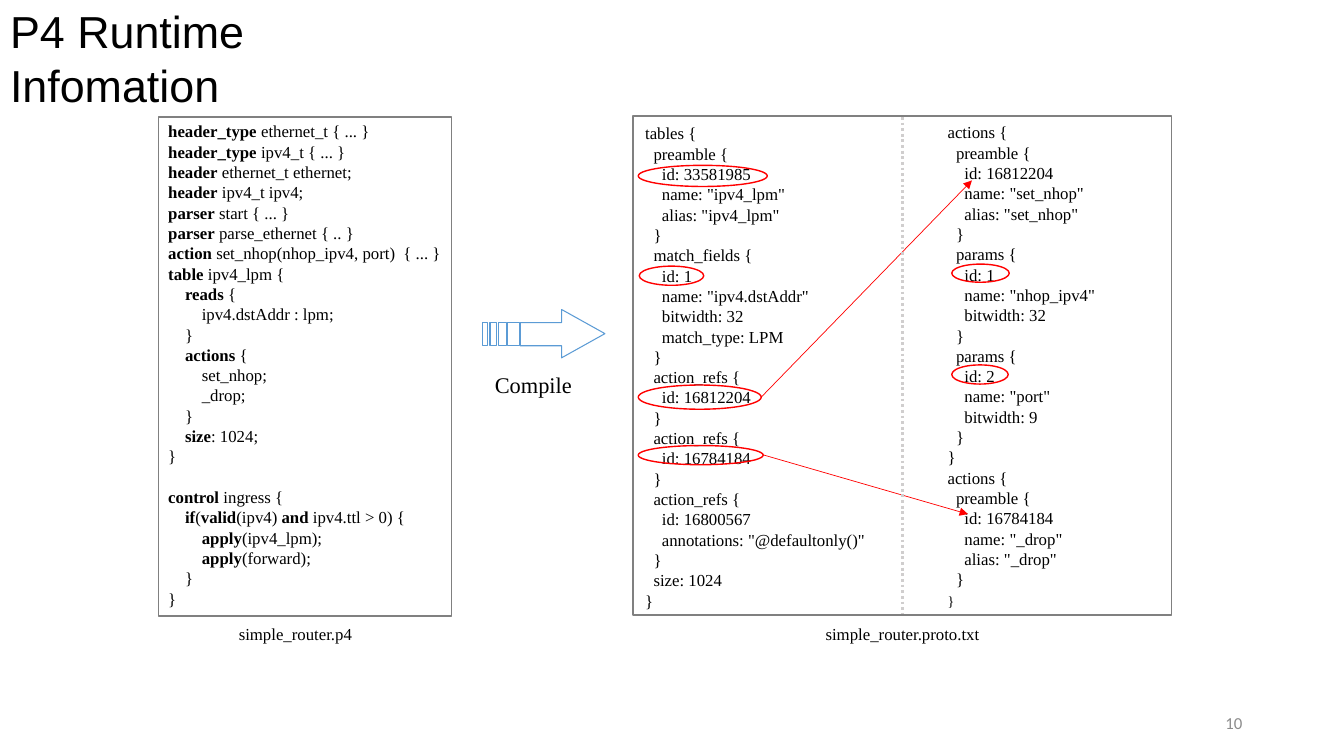
from lxml.etree import SubElement
from pptx import Presentation
from pptx.dml.color import RGBColor
from pptx.enum.dml import MSO_LINE
from pptx.enum.shapes import MSO_CONNECTOR, MSO_SHAPE
from pptx.enum.text import MSO_ANCHOR, MSO_AUTO_SIZE, PP_ALIGN
from pptx.oxml.ns import qn
from pptx.util import Inches, Pt

BLACK = RGBColor(0x00, 0x00, 0x00)
GRAY = RGBColor(0x80, 0x80, 0x80)
LIGHT_GRAY = RGBColor(0xD0, 0xCE, 0xCE)
NUMBER_GRAY = RGBColor(0x8C, 0x8C, 0x8C)
RED = RGBColor(0xFF, 0x00, 0x00)
BLUE = RGBColor(0x5B, 0x9B, 0xD5)
SERIF = "Times New Roman"
LINE_PITCH = 14.5
SPACE_WIDTH = 3

ROUTER_CODE = """\
**header_type** ethernet_t { ... }
**header_type** ipv4_t { ... }
**header** ethernet_t ethernet;
**header** ipv4_t ipv4;
**parser** start { ... }
**parser** parse_ethernet { .. }
**action** set_nhop(nhop_ipv4, port)  { ... }
**table** ipv4_lpm {
    **reads** {
        ipv4.dstAddr : lpm;
    }
    **actions** {
        set_nhop;
        _drop;
    }
    **size**: 1024;
}

**control** ingress {
    **if**(**valid**(ipv4) **and** ipv4.ttl > 0) {
        **apply**(ipv4_lpm);
        **apply**(forward);
    }
}"""

TABLES_CODE = """\
tables {
  preamble {
    id: 33581985
    name: "ipv4_lpm"
    alias: "ipv4_lpm"
  }
  match_fields {
    id: 1
    name: "ipv4.dstAddr"
    bitwidth: 32
    match_type: LPM
  }
  action_refs {
    id: 16812204
  }
  action_refs {
    id: 16784184
  }
  action_refs {
    id: 16800567
    annotations: "@defaultonly()"
  }
  size: 1024
}"""

ACTIONS_CODE = """\
actions {
  preamble {
    id: 16812204
    name: "set_nhop"
    alias: "set_nhop"
  }
  params {
    id: 1
    name: "nhop_ipv4"
    bitwidth: 32
  }
  params {
    id: 2
    name: "port"
    bitwidth: 9
  }
}
actions {
  preamble {
    id: 16784184
    name: "_drop"
    alias: "_drop"
  }
}"""


def write_text(frame, text, size=12, font=SERIF, color=BLACK, align=PP_ALIGN.LEFT,
               anchor=MSO_ANCHOR.TOP, pitch=None, margin_right=0.0):
    frame.word_wrap = True
    frame.auto_size = MSO_AUTO_SIZE.NONE
    frame.vertical_anchor = anchor
    frame.margin_left, frame.margin_right = Inches(0.1), Inches(margin_right)
    frame.margin_top = frame.margin_bottom = Inches(0.05)
    paragraph, gap = None, 0
    for line in text.split("\n"):
        if not line:
            gap += pitch
            continue
        paragraph = frame.add_paragraph() if paragraph else frame.paragraphs[0]
        paragraph.alignment = align
        paragraph.space_before, gap = Pt(gap), 0
        if pitch:
            paragraph.line_spacing = Pt(pitch)
        content = line.lstrip()
        indent = (len(line) - len(content)) * SPACE_WIDTH
        if indent:
            paragraph._p.get_or_add_pPr().set("marL", str(Pt(indent)))
        for position, part in enumerate(content.split("**")):
            if part:
                run = paragraph.add_run()
                run.text = part
                run.font.size, run.font.name = Pt(size), font
                run.font.color.rgb = color
                run.font.bold = position % 2 == 1
    return frame


def add_text(slide, text, left, top, width, height, **text_format):
    box = slide.shapes.add_textbox(Inches(left), Inches(top), Inches(width), Inches(height))
    return write_text(box.text_frame, text, **text_format)


def style_outline(shape, color, weight):
    shape.shadow.inherit = False
    shape.fill.background()
    shape.line.color.rgb = color
    shape.line.width = Pt(weight)


def add_outline(slide, kind, left, top, width, height, color):
    shape = slide.shapes.add_shape(kind, Inches(left), Inches(top), Inches(width), Inches(height))
    style_outline(shape, color, 1)


def add_line(slide, start, end, color, weight, dash=None, arrow=False):
    connector = slide.shapes.add_connector(
        MSO_CONNECTOR.STRAIGHT, *(Inches(value) for value in (*start, *end)))
    connector.line.color.rgb = color
    connector.line.width = Pt(weight)
    if dash:
        connector.line.dash_style = dash
    if arrow:
        SubElement(connector.line._get_or_add_ln(), qn("a:tailEnd"), type="triangle")
    SubElement(connector._element.spPr, qn("a:effectLst"))


def add_title(slide, left, top, width, height):
    title = slide.shapes.title
    title.left, title.top = Inches(left), Inches(top)
    title.width, title.height = Inches(width), Inches(height)
    write_text(title.text_frame, "P4 Runtime Infomation", size=32, font="Arial",
               pitch=38.5, margin_right=1.6)


def add_router_panel(slide, left, top, width, height):
    add_outline(slide, MSO_SHAPE.RECTANGLE, left, top, width, height, GRAY)
    add_text(slide, ROUTER_CODE, left, top - 0.01, width, height, pitch=LINE_PITCH)
    add_text(slide, "simple_router.p4", left + 0.7, top + 4.98, 1.33, 0.3)


def add_proto_panel(slide, left, top, width, height):
    add_outline(slide, MSO_SHAPE.RECTANGLE, left, top, width, height, GRAY)
    add_text(slide, TABLES_CODE, left + 0.02, top + 0.02, 2.39, height, pitch=LINE_PITCH)
    actions = add_text(slide, ACTIONS_CODE, left + 3.02, top + 0.01, 1.89, 4.91, pitch=LINE_PITCH)
    actions.paragraphs[-1].runs[0].font.size = Pt(10)
    for start, end in (((1.27, 2.79), (3.36, 0.64)), ((1.28, 3.36), (3.32, 3.95))):
        add_line(slide, (left + start[0], top + start[1]), (left + end[0], top + end[1]),
                 RED, 0.5, arrow=True)
    id_marks = ((0.05, 0.49, 1.28, 0.21), (0.06, 1.49, 0.64, 0.19),
                (0.05, 2.67, 1.22, 0.24), (0.05, 3.27, 1.24, 0.19),
                (3.16, 1.47, 0.57, 0.18), (3.16, 2.47, 0.56, 0.19))
    for x, y, mark_width, mark_height in id_marks:
        add_outline(slide, MSO_SHAPE.OVAL, left + x, top + y, mark_width, mark_height, RED)
    middle = left + width / 2
    add_line(slide, (middle, top + 0.01), (middle, top + height - 0.02),
             LIGHT_GRAY, 2, dash=MSO_LINE.ROUND_DOT)
    add_text(slide, "simple_router.proto.txt", left + 1.81, top + 4.99, 1.73, 0.3)


def add_compile_arrow(slide, left, top, width, height):
    upper, lower, neck = 0.13, 0.36, 0.78
    stripes = ((0, 0.05), (0.07, 0.06), (0.15, 0.08), (0.24, 0.12))
    outlines = [[(x, upper), (x + stripe, upper), (x + stripe, lower), (x, lower)]
                for x, stripe in stripes]
    outlines.append([(0.37, upper), (neck, upper), (neck, 0), (width, height / 2),
                     (neck, height), (neck, lower), (0.37, lower)])
    builder = None
    for outline in outlines:
        points = [(Inches(left + x), Inches(top + y)) for x, y in outline]
        if builder is None:
            builder = slide.shapes.build_freeform(*points[0])
        else:
            builder.move_to(*points[0])
        builder.add_line_segments(points[1:], close=True)
    style_outline(builder.convert_to_shape(), BLUE, 0.75)
    add_text(slide, "Compile", left + 0.02, top + 0.56, 0.97, 0.37, size=16)


presentation = Presentation()
presentation.slide_width, presentation.slide_height = Inches(13.33), Inches(7.5)
slide = presentation.slides.add_slide(presentation.slide_layouts[5])
add_router_panel(slide, 1.57, 1.16, 2.91, 4.95)
add_proto_panel(slide, 6.28, 1.15, 5.34, 4.95)
add_text(slide, "10", 9.42, 6.97, 3, 0.4, font="Calibri", color=NUMBER_GRAY,
         align=PP_ALIGN.RIGHT, anchor=MSO_ANCHOR.MIDDLE, margin_right=0.1)
add_title(slide, 0, -0.01, 4.72, 0.64)
add_compile_arrow(slide, 4.79, 3.07, 1.21, 0.48)
presentation.save("out.pptx")
